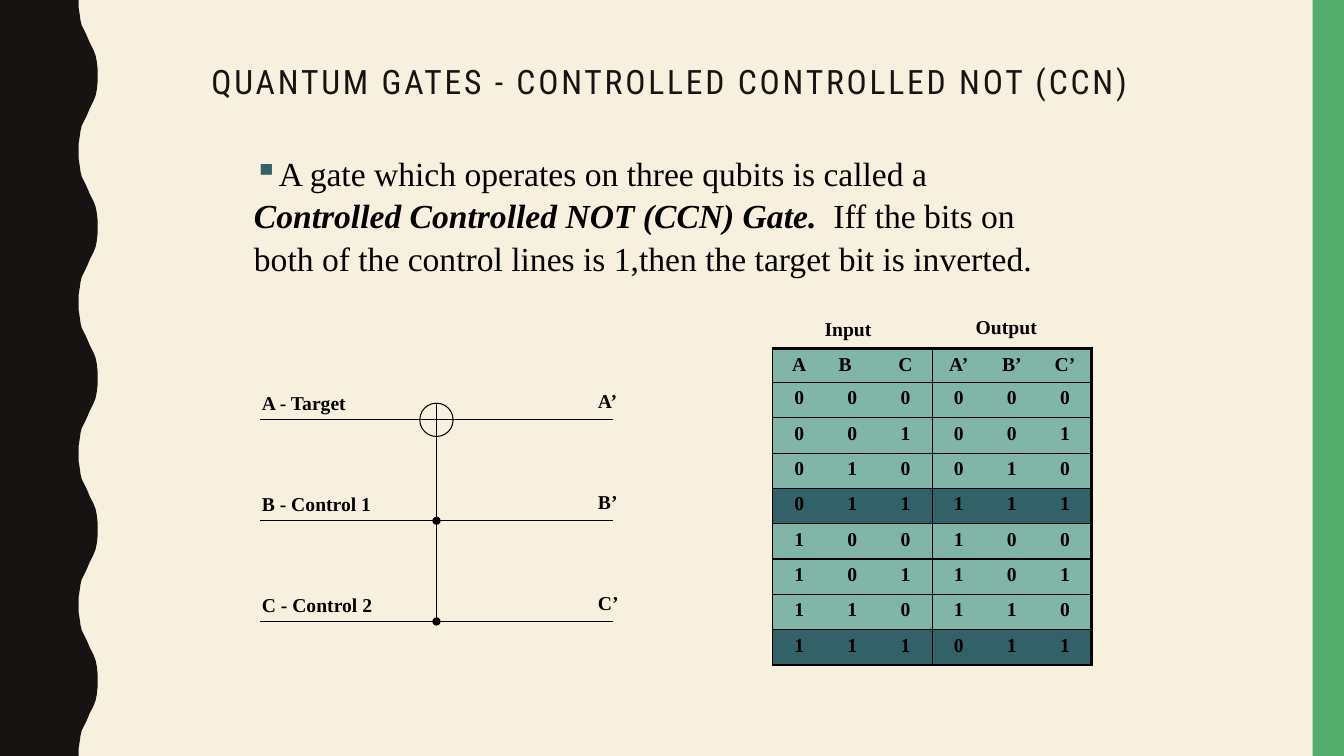
from dataclasses import dataclass
from itertools import product

from lxml import etree
from pptx import Presentation
from pptx.dml.color import RGBColor
from pptx.enum.shapes import MSO_CONNECTOR, MSO_SHAPE
from pptx.enum.text import MSO_ANCHOR, PP_ALIGN
from pptx.oxml.ns import qn
from pptx.util import Cm, Pt

STRAIGHT = MSO_CONNECTOR.STRAIGHT
RECTANGLE, NOT_GATE = MSO_SHAPE.RECTANGLE, MSO_SHAPE.FLOWCHART_OR
MIDDLE, TOP = MSO_ANCHOR.MIDDLE, MSO_ANCHOR.TOP
CENTER, LEFT = PP_ALIGN.CENTER, PP_ALIGN.LEFT


@dataclass(frozen=True)
class Theme:
    paper: str = "F7F0DF"
    ink: str = "171312"
    black: str = "000000"
    green: str = "53AE6E"
    pale_teal: str = "81B5A8"
    dark_teal: str = "326267"
    title_font: str = "Roboto Condensed"
    text_font: str = "Times New Roman"
    large: int = 24
    small: int = 14
    thin: float = 0.75
    rule: float = 1
    thick: float = 2.25


@dataclass(frozen=True)
class Label:
    text: str
    left: float
    top: float
    width: float


@dataclass(frozen=True)
class Wire:
    name: str
    role: str
    y: float


THEME = Theme()
SLIDE_WIDTH, SLIDE_HEIGHT = 33.87, 19.05

# Half a wave of the left edge, as (x, y); each wave mirrors it
WAVE_HEIGHT = 3.81
HALF_WAVE = [(1.98, 0), (1.98, 0.18), (2.01, 0.36), (2.03, 0.51), (2.06, 0.64),
             (2.11, 0.74), (2.16, 0.84), (2.21, 0.95), (2.26, 1.07), (2.31, 1.17),
             (2.36, 1.27), (2.41, 1.4), (2.44, 1.55), (2.46, 1.73), (2.46, 1.9)]

# Circuit measures
WIRE_START, WIRE_END = 6.56, 15.44
GATE_X, GATE_RADIUS = 11.0, 0.42
WIRES = [Wire(name, role, 10.58 + 2.54 * row) for row, (name, role) in
         enumerate([("A", "Target"), ("B", "Control 1"), ("C", "Control 2")])]

# Truth table measures
TABLE_LEFT, TABLE_TOP = 19.47, 8.79
COLUMN_WIDTH, HEADER_HEIGHT, ROW_HEIGHT = 1.34, 0.84, 0.89
HEADER = ["A", "B", "C", "A’", "B’", "C’"]


def color(code: str) -> RGBColor:
    return RGBColor.from_string(code)


def paint(shape, code: str) -> None:
    shape.shadow.inherit = False
    shape.fill.solid()
    shape.fill.fore_color.rgb = color(code)
    shape.line.fill.background()


def style(font, name: str, size: int, code: str, bold: bool = False) -> None:
    font.name, font.size, font.bold = name, Pt(size), bold
    font.color.rgb = color(code)


def add_text_box(page, left: float, top: float, width: float, height: float):
    box = page.shapes.add_textbox(Cm(left), Cm(top), Cm(width), Cm(height))
    box.text_frame.word_wrap = True
    return box.text_frame


def add_label(page, label: Label) -> None:
    para = add_text_box(page, label.left, label.top, label.width, 0.84).paragraphs[0]
    para.text = label.text
    style(para.font, THEME.text_font, THEME.small, THEME.black, True)


def add_line(page, x1: float, y1: float, x2: float, y2: float, dot: bool = False) -> None:
    line = page.shapes.add_connector(STRAIGHT, Cm(x1), Cm(y1), Cm(x2), Cm(y2))
    line.line.color.rgb = color(THEME.black)
    line.line.width = Pt(THEME.thin)
    if dot:
        etree.SubElement(line.line._get_or_add_ln(), qn("a:tailEnd"), type="oval")
    etree.SubElement(line._element.spPr, qn("a:effectLst"))


def set_borders(cell, left: float, right: float, top: float, bottom: float) -> None:
    """Widths are in points; zero hides the border."""
    properties = cell._tc.get_or_add_tcPr()
    sides = [("L", left), ("R", right), ("T", top), ("B", bottom)]
    for position, (side, width) in enumerate(sides):
        border = etree.Element(qn(f"a:ln{side}"), w=str(Pt(width)))
        if width:
            fill = etree.SubElement(border, qn("a:solidFill"))
            etree.SubElement(fill, qn("a:srgbClr"), val=THEME.black)
        else:
            etree.SubElement(border, qn("a:noFill"))
        properties.insert(position, border)


def add_frame(page) -> None:
    page.background.fill.solid()
    page.background.fill.fore_color.rgb = color(THEME.paper)
    wave = HALF_WAVE + [(x, WAVE_HEIGHT - y) for x, y in reversed(HALF_WAVE)]
    edge = [(Cm(x), Cm(y + WAVE_HEIGHT * turn)) for turn in range(5) for x, y in wave]
    outline = page.shapes.build_freeform(0, 0)
    outline.add_line_segments(edge + [(0, Cm(SLIDE_HEIGHT))], close=True)
    paint(outline.convert_to_shape(), THEME.ink)
    band = page.shapes.add_shape(RECTANGLE, Cm(33.08), 0, Cm(0.79), Cm(SLIDE_HEIGHT))
    paint(band, THEME.green)


def add_title(page) -> None:
    frame = add_text_box(page, 5.08, 1.47, 23.93, 1.27)
    frame.vertical_anchor = MIDDLE
    para = frame.paragraphs[0]
    para.alignment, para.line_spacing = LEFT, 0.9
    span = para.add_run()
    span.text = "QUANTUM GATES - CONTROLLED CONTROLLED NOT (CCN)"
    span._r.get_or_add_rPr().set("spc", "200")
    style(para.font, THEME.title_font, THEME.large, THEME.ink)


def add_definition(page) -> None:
    para = add_text_box(page, 6.15, 3.68, 20.85, 3.33).paragraphs[0]
    para.line_spacing = 1.05
    properties = para._p.get_or_add_pPr()
    bullet_color = etree.SubElement(properties, qn("a:buClr"))
    etree.SubElement(bullet_color, qn("a:srgbClr"), val=THEME.dark_teal)
    etree.SubElement(properties, qn("a:buChar"), char="▪")
    for text, strong in [
        ("A gate which operates on three qubits is called a ", False),
        ("Controlled Controlled NOT (CCN) Gate.  ", True),
        ("Iff the bits on both of the control lines is 1,then the target bit is inverted.", False),
    ]:
        span = para.add_run()
        span.text = text
        span.font.bold = span.font.italic = strong
    style(para.font, THEME.text_font, THEME.large, THEME.black)


def add_circuit(page) -> None:
    target, first_control, second_control = WIRES
    gate = page.shapes.add_shape(
        NOT_GATE, Cm(GATE_X - GATE_RADIUS), Cm(target.y - GATE_RADIUS),
        Cm(2 * GATE_RADIUS), Cm(2 * GATE_RADIUS))
    gate.shadow.inherit = False
    gate.fill.background()
    gate.line.color.rgb = color(THEME.black)
    gate.line.width = Pt(THEME.thin)

    # Wires: the target stops at the gate, the controls run through
    add_line(page, WIRE_START, target.y, GATE_X - GATE_RADIUS, target.y)
    add_line(page, GATE_X + GATE_RADIUS, target.y, WIRE_END, target.y)
    for control in (first_control, second_control):
        add_line(page, WIRE_START, control.y, WIRE_END, control.y)
    add_line(page, GATE_X, target.y + GATE_RADIUS, GATE_X, first_control.y, dot=True)
    add_line(page, GATE_X, first_control.y, GATE_X, second_control.y, dot=True)

    for wire in WIRES:
        add_label(page, Label(f"{wire.name} - {wire.role}", 6.35, wire.y - 0.85, 3.4))
        add_label(page, Label(f"{wire.name}’", 14.82, wire.y - 0.9, 1.32))


def add_truth_table(page) -> None:
    rows = [HEADER] + [[a, b, c, a ^ (b & c), b, c] for a, b, c in product((0, 1), repeat=3)]
    last_row, last_column = len(rows) - 1, len(HEADER) - 1
    table = page.shapes.add_table(
        len(rows), len(HEADER), Cm(TABLE_LEFT), Cm(TABLE_TOP), Cm(COLUMN_WIDTH * len(HEADER)),
        Cm(HEADER_HEIGHT + ROW_HEIGHT * last_row)).table
    table.first_row = table.horz_banding = False
    for column in table.columns:
        column.width = Cm(COLUMN_WIDTH)
    for r, values in enumerate(rows):
        table.rows[r].height = Cm(ROW_HEIGHT if r else HEADER_HEIGHT)
        inverted = r > 0 and values[1] == values[2] == 1
        for c, value in enumerate(values):
            cell = table.cell(r, c)
            cell.vertical_anchor = TOP
            cell.fill.solid()
            cell.fill.fore_color.rgb = color(THEME.dark_teal if inverted else THEME.pale_teal)
            set_borders(cell,
                        left=THEME.rule if c in (0, 3) else 0,
                        right={2: THEME.rule, last_column: THEME.thick}.get(c, 0),
                        top=THEME.rule if r else THEME.thick,
                        bottom=THEME.thick if r == last_row else THEME.rule)
            para = cell.text_frame.paragraphs[0]
            para.text, para.alignment = str(value), CENTER
            style(para.font, THEME.text_font, THEME.small, THEME.black, True)
    table.cell(0, 1).margin_right = Cm(0.61)  # the B heading sits left of centre
    add_label(page, Label("Input", 20.53, 7.87, 1.85))
    add_label(page, Label("Output", 24.34, 7.82, 2.34))


def main() -> None:
    deck = Presentation()
    deck.slide_width, deck.slide_height = Cm(SLIDE_WIDTH), Cm(SLIDE_HEIGHT)
    page = deck.slides.add_slide(deck.slide_layouts[6])
    add_frame(page)
    add_title(page)
    add_circuit(page)
    add_truth_table(page)
    add_definition(page)
    deck.save("out.pptx")


if __name__ == "__main__":
    main()
